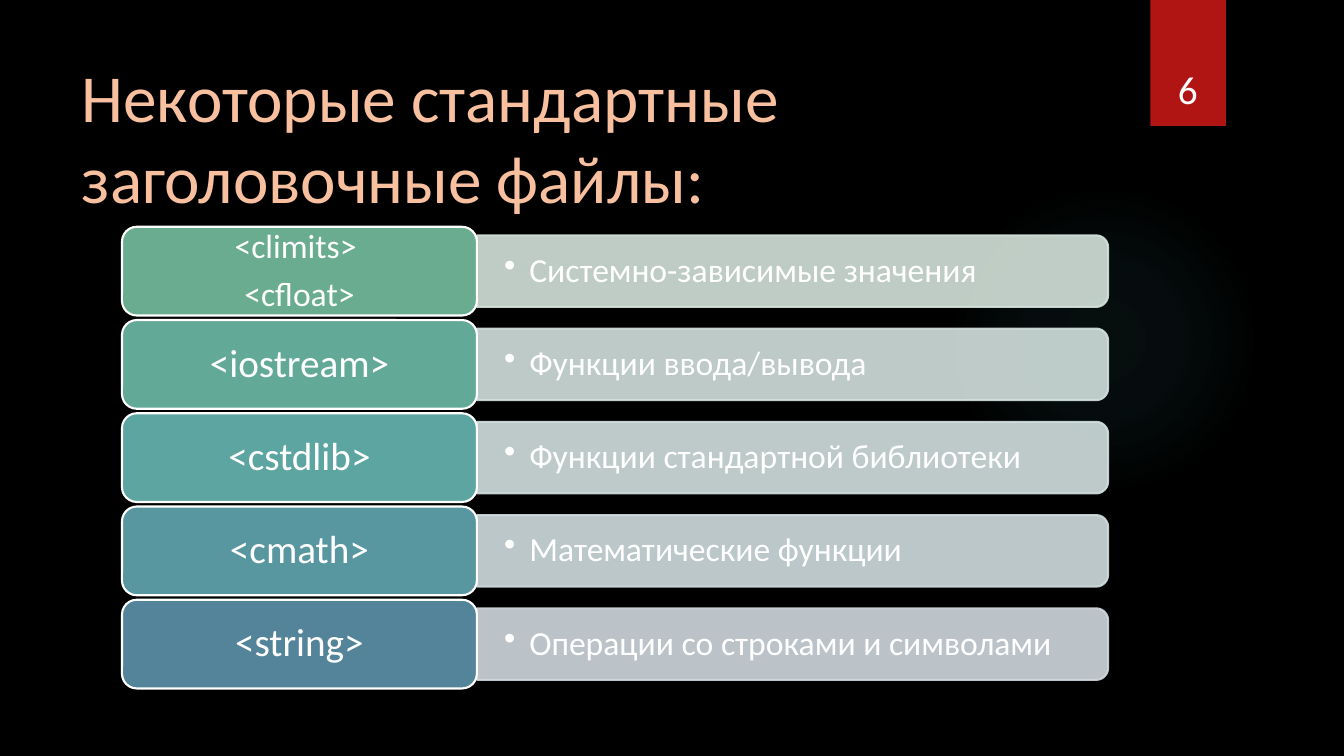
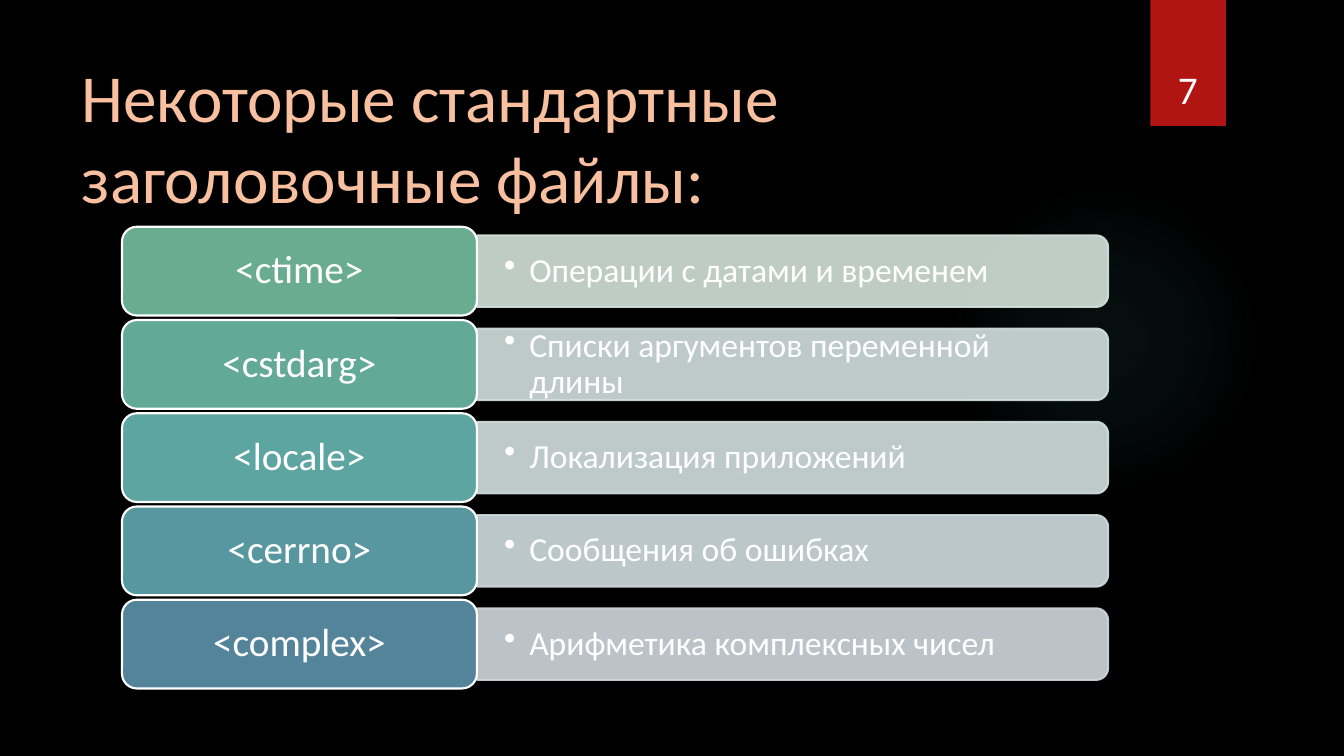
from dataclasses import dataclass

from lxml import etree
from pptx import Presentation
from pptx import util as u
from pptx.dml.color import RGBColor
from pptx.enum import shapes, text
from pptx.oxml import parse_xml
from pptx.oxml.ns import nsdecls, qn


@dataclass(frozen=True)
class Theme:
    font: str = "Calibri"
    background: str = "000000"
    title: str = "F8C09F"
    text: str = "FFFFFF"
    band: str = "B01513"
    glow: str = "50B9C1"
    labels: tuple = ("6AAC90", "63A998", "5DA5A1", "5897A0", "54849A")
    bars: tuple = ("D4E3DB", "D3E1DE", "D2E0DF", "D1DDDF", "D1D9DE")
    title_size: int = 48
    label_size: int = 28
    body_size: int = 24


THEME = Theme()
SHAPE = shapes.MSO_SHAPE
ALIGN = text.PP_ALIGN
ANCHOR = text.MSO_ANCHOR

ROW_TOP, ROW_PITCH = 2.25, 0.925
LABEL_LEFT, LABEL_WIDTH, LABEL_HEIGHT = 1.21, 3.52, 0.88
BAR_WIDTH, BAR_HEIGHT = 6.26, 0.71
BAR_LEFT = LABEL_LEFT + LABEL_WIDTH

TITLE = "Некоторые стандартные заголовочные файлы:"
SLIDES = (
    (6, (
        ("<climits> \n<cfloat>", "Системно-зависимые значения"),
        ("<iostream>", "Функции ввода/вывода"),
        ("<cstdlib>", "Функции стандартной библиотеки"),
        ("<cmath>", "Математические функции"),
        ("<string>", "Операции со строками и символами"),
    )),
    (7, (
        ("<ctime>", "Операции с датами и временем"),
        ("<cstdarg>", "Списки аргументов переменной длины"),
        ("<locale>", "Локализация приложений"),
        ("<cerrno>", "Сообщения об ошибках"),
        ("<complex>", "Арифметика комплексных чисел"),
    )),
)


def rgb(color):
    return RGBColor.from_string(color)


def inches(*lengths):
    return [u.Inches(length) for length in lengths]


def add_bullet(p, indent):
    pPr = p._p.get_or_add_pPr()
    pPr.set("marL", str(u.Inches(indent)))
    pPr.set("indent", str(-u.Inches(indent)))
    etree.SubElement(pPr, qn("a:buChar"), char="•")


def write_text(sp, content, size, color=THEME.text, align=ALIGN.LEFT,
               anchor=ANCHOR.MIDDLE, insets=(0.1, 0.05), line_spacing=1.0,
               gap=0, bullet_indent=0):
    tf = sp.text_frame
    tf.word_wrap = True
    tf.auto_size = text.MSO_AUTO_SIZE.NONE
    tf.vertical_anchor = anchor
    tf.margin_left = tf.margin_right = u.Inches(insets[0])
    tf.margin_top = tf.margin_bottom = u.Inches(insets[1])
    tf.text = content
    for p in tf.paragraphs:
        p.alignment = align
        p.line_spacing = line_spacing
        if p is not tf.paragraphs[-1]:
            p.space_after = u.Pt(gap)
        if bullet_indent:
            add_bullet(p, bullet_indent)
        for r in p.runs:
            r.font.name = THEME.font
            r.font.size = u.Pt(size)
            r.font.color.rgb = rgb(color)


def set_alpha(fill_parent, percent):
    for color in fill_parent.iter(qn("a:srgbClr")):
        etree.SubElement(color, qn("a:alpha"), val=str(percent * 1000))


def add_block(s, kind, box, fill, line=None):
    sp = s.shapes.add_shape(kind, *inches(*box))
    sp.shadow.inherit = False
    sp.fill.solid()
    sp.fill.fore_color.rgb = rgb(fill)
    if line:
        sp.line.color.rgb = rgb(line)
        sp.line.width = u.Pt(1.5)
    else:
        sp.line.fill.background()
    return sp


def fill_glow(sp, color, stops):
    gs = "".join(
        f'<a:gs pos="{pos * 1000}"><a:srgbClr val="{color}">'
        f'<a:alpha val="{alpha * 1000}"/></a:srgbClr></a:gs>'
        for pos, alpha in stops)
    gradient = parse_xml(
        f'<a:gradFill {nsdecls("a")} rotWithShape="1"><a:gsLst>{gs}</a:gsLst>'
        '<a:path path="circle"><a:fillToRect l="50000" t="50000" r="50000" '
        'b="50000"/></a:path></a:gradFill>')
    spPr = sp._element.spPr
    spPr.replace(spPr.find(qn("a:solidFill")), gradient)


def style_layout(prs, layout, s):
    fill = prs.slide_master.background.fill
    fill.solid()
    fill.fore_color.rgb = rgb(THEME.background)
    title = layout.placeholders[0]
    title.left, title.top, title.width, title.height = inches(0.71, 0.5, 10.29, 1.53)
    glow = add_block(s, SHAPE.OVAL, (9.41, 1.83, 3.08, 3.08), THEME.glow)
    fill_glow(glow, THEME.glow, ((0, 7), (36, 6), (69, 0), (100, 0)))
    band = add_block(s, SHAPE.RECTANGLE, (11.41, 0, 0.75, 1.25), THEME.band)
    for sp in (glow, band):
        layout.shapes._spTree.append(sp._element)


def add_row(s, index, header, description):
    top = ROW_TOP + index * ROW_PITCH
    middle = top + LABEL_HEIGHT / 2
    bar_box = (BAR_LEFT + (BAR_WIDTH - BAR_HEIGHT) / 2, middle - BAR_WIDTH / 2,
               BAR_HEIGHT, BAR_WIDTH)
    color = THEME.bars[index]
    bar = add_block(s, SHAPE.ROUND_2_SAME_RECTANGLE, bar_box, color, color)
    bar.rotation = 90
    set_alpha(bar._element.spPr, 90)

    caption = s.shapes.add_textbox(*inches(BAR_LEFT, middle - 0.32, 6.23, 0.64))
    write_text(caption, description, THEME.body_size, insets=(0.27, 0.14),
               line_spacing=0.9, bullet_indent=0.25)

    label = add_block(s, SHAPE.ROUNDED_RECTANGLE,
                      (LABEL_LEFT, top, LABEL_WIDTH, LABEL_HEIGHT),
                      THEME.labels[index], THEME.text)
    size = THEME.body_size if "\n" in header else THEME.label_size
    write_text(label, header, size, align=ALIGN.CENTER, line_spacing=0.9,
               gap=0.35 * size)


def add_number(s, number):
    sp = s.shapes.add_textbox(*inches(11.32, 0.32, 0.92, 0.84))
    write_text(sp, str(number), THEME.label_size, align=ALIGN.CENTER,
               anchor=ANCHOR.BOTTOM)


def main():
    prs = Presentation()
    prs.slide_width, prs.slide_height = inches(13.33, 7.5)
    layout = prs.slide_layouts[5]
    for position, (number, rows) in enumerate(SLIDES):
        s = prs.slides.add_slide(layout)
        if position == 0:
            style_layout(prs, layout, s)
        write_text(s.shapes.title, TITLE, THEME.title_size, THEME.title,
                   anchor=ANCHOR.TOP)
        for index, (header, description) in enumerate(rows):
            add_row(s, index, header, description)
        add_number(s, number)
    prs.save("out.pptx")


if __name__ == "__main__":
    main()
